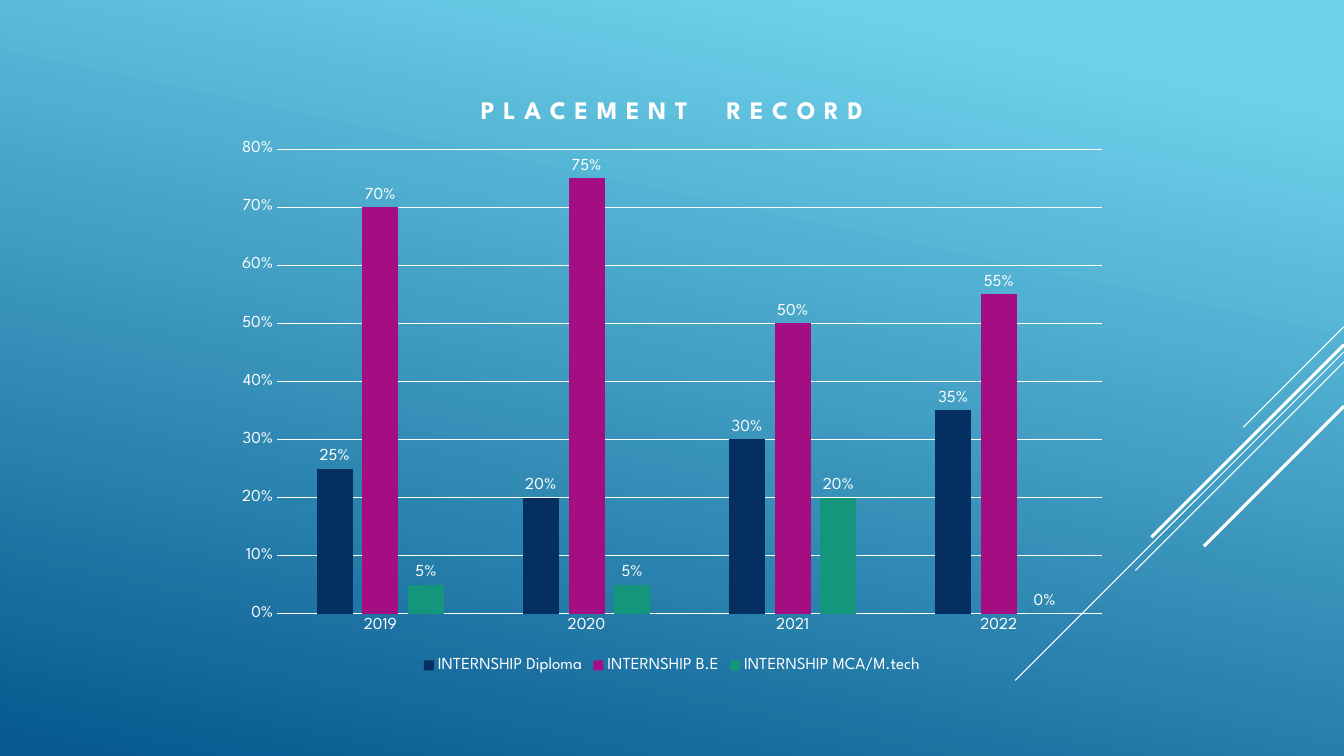
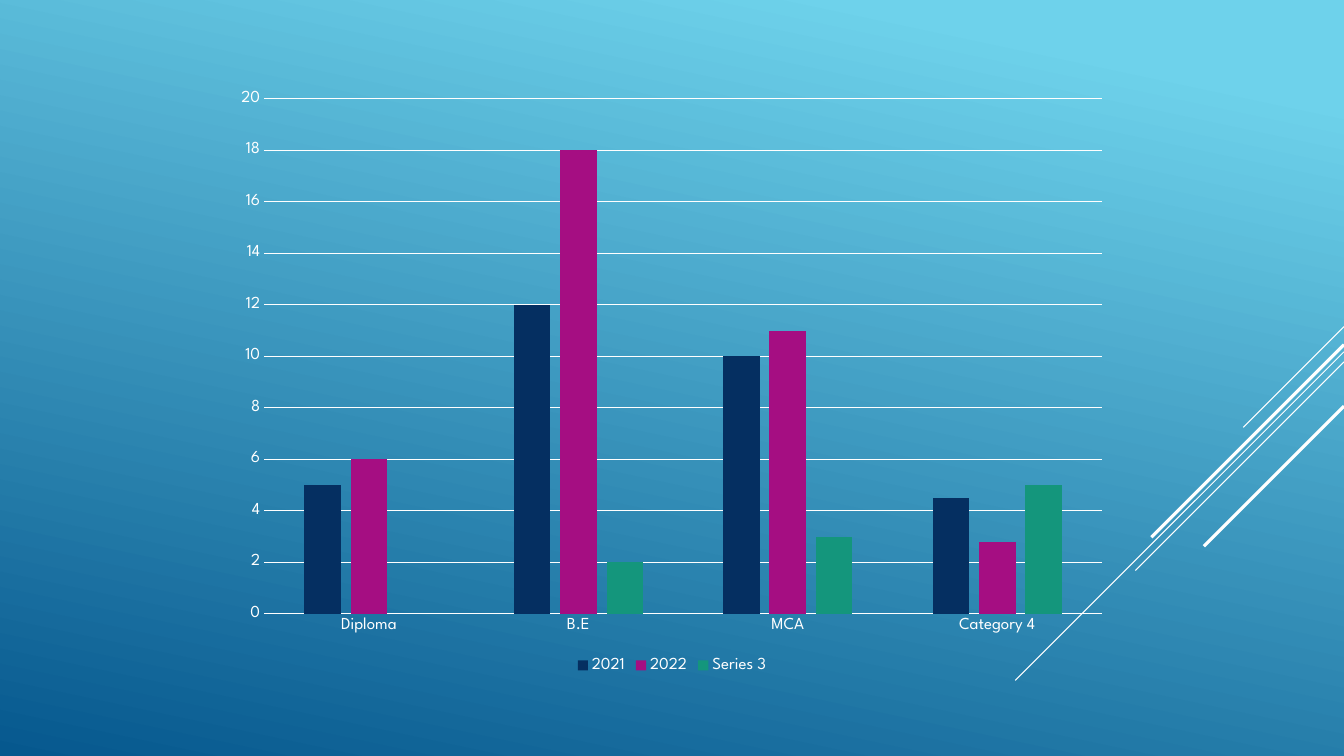
"""Build two column-chart slides on a shared blue gradient with diagonal accent lines."""
from dataclasses import dataclass

from lxml import etree
from pptx import Presentation
from pptx.chart.chart import Chart
from pptx.chart.data import CategoryChartData
from pptx.dml.color import RGBColor
from pptx.enum.chart import XL_CHART_TYPE, XL_LABEL_POSITION, XL_LEGEND_POSITION, XL_TICK_MARK
from pptx.enum.shapes import MSO_CONNECTOR
from pptx.oxml.ns import qn
from pptx.slide import Slide, SlideMaster
from pptx.util import Inches, Pt

CLUSTERED = XL_CHART_TYPE.COLUMN_CLUSTERED
OUTSIDE_END = XL_LABEL_POSITION.OUTSIDE_END
LEGEND_BOTTOM = XL_LEGEND_POSITION.BOTTOM
NO_TICKS = XL_TICK_MARK.NONE
STRAIGHT = MSO_CONNECTOR.STRAIGHT

WHITE = RGBColor(0xFF, 0xFF, 0xFF)
SKY = RGBColor(0x6E, 0xD2, 0xEB)
OCEAN = RGBColor(0x06, 0x58, 0x8E)
NAVY = RGBColor(0x05, 0x2F, 0x61)
MAGENTA = RGBColor(0xA5, 0x0E, 0x82)
GREEN = RGBColor(0x14, 0x96, 0x7C)
SERIES_COLORS = (NAVY, MAGENTA, GREEN)

FONT = "League Spartan"
SLIDE_WIDTH = 13.33
SLIDE_HEIGHT = 7.5
CHART_WIDTH = 8.89
CHART_HEIGHT = 5.93
PLOT_RIGHT = 8.71
PLOT_BOTTOM = 5.3
THIN = 0.75
THICK = 2.25
LETTER_SPACING = 0.7
WORD_SPACING = 22


@dataclass(frozen=True)
class Diagonal:
    """A 45-degree line running down and left from the right slide edge."""

    top: float
    reach: float
    weight: float


@dataclass(frozen=True)
class ColumnChart:
    """Data and layout of one clustered column chart."""

    categories: tuple[str, ...]
    series: dict[str, tuple[float | None, ...]]
    maximum: float
    step: float
    number_format: str
    plot_left: float
    plot_top: float
    title_words: tuple[str, ...] = ()
    labelled: bool = False


DIAGONALS = (
    Diagonal(3.24, 1.0, THIN),
    Diagonal(3.49, 3.26, THIN),
    Diagonal(3.59, 2.07, THIN),
    Diagonal(3.42, 1.91, THICK),
    Diagonal(4.03, 1.39, THICK),
)

CHARTS = (
    ColumnChart(
        categories=("2019", "2020", "2021", "2022"),
        series={
            "INTERNSHIP Diploma": (0.25, 0.2, 0.3, 0.35),
            "INTERNSHIP B.E": (0.7, 0.75, 0.5, 0.55),
            "INTERNSHIP MCA/M.tech": (0.05, 0.05, 0.2, 0),
        },
        maximum=0.8,
        step=0.1,
        number_format="0%",
        plot_left=0.53,
        plot_top=0.69,
        title_words=("P L A C E M E N T", "R E C O R D"),
        labelled=True,
    ),
    ColumnChart(
        categories=("Diploma", "B.E", "MCA", "Category 4"),
        series={
            "2021": (5, 12, 10, 4.5),
            "2022": (6, 18, 11, 2.8),
            "Series 3": (None, 2, 3, 5),
        },
        maximum=20,
        step=2,
        number_format="General",
        plot_left=0.4,
        plot_top=0.19,
    ),
)


def style_font(font, size: float, bold: bool = False) -> None:
    """Apply the shared white typeface."""
    font.name = FONT
    font.size = Pt(size)
    font.bold = bold
    font.color.rgb = WHITE


def style_line(line, weight: float) -> None:
    """Make a line solid white."""
    line.color.rgb = WHITE
    line.width = Pt(weight)


def paint_background(master: SlideMaster) -> None:
    """Give every slide the blue gradient."""
    fill = master.background.fill
    fill.gradient()
    fill.gradient_angle = 360 - 102
    for stop, color, position in zip(fill.gradient_stops, (SKY, OCEAN), (0.1, 1.0)):
        stop.color.rgb = color
        stop.position = position


def draw_diagonal(slide: Slide, diagonal: Diagonal) -> None:
    """Draw one accent line."""
    connector = slide.shapes.add_connector(
        STRAIGHT,
        Inches(SLIDE_WIDTH),
        Inches(diagonal.top),
        Inches(SLIDE_WIDTH - diagonal.reach),
        Inches(diagonal.top + diagonal.reach),
    )
    style_line(connector.line, diagonal.weight)
    etree.SubElement(connector._element.spPr, qn("a:effectLst"))


def place_plot(chart: Chart, left: float, top: float) -> None:
    """Fix the inner plot area, measured in inches inside the chart."""
    area = chart._chartSpace.chart.plotArea
    for old_layout in area.findall(qn("c:layout")):
        area.remove(old_layout)
    layout = etree.Element(qn("c:layout"))
    area.insert(0, layout)
    manual = etree.SubElement(layout, qn("c:manualLayout"))
    settings = {
        "layoutTarget": "inner",
        "xMode": "edge",
        "yMode": "edge",
        "x": left / CHART_WIDTH,
        "y": top / CHART_HEIGHT,
        "w": (PLOT_RIGHT - left) / CHART_WIDTH,
        "h": (PLOT_BOTTOM - top) / CHART_HEIGHT,
    }
    for name, value in settings.items():
        etree.SubElement(manual, qn(f"c:{name}")).set("val", str(value))


def write_title(chart: Chart, words: tuple[str, ...]) -> None:
    """Write the words with wide gaps between them, or switch the title off."""
    chart.has_title = bool(words)
    if not words:
        return
    chart.chart_title.include_in_layout = False
    paragraph = chart.chart_title.text_frame.paragraphs[0]
    for index, word in enumerate(words):
        pieces = [(word, LETTER_SPACING)]
        if index:
            pieces.insert(0, (" ", WORD_SPACING))
        for text, spacing in pieces:
            span = paragraph.add_run()
            span.text = text
            style_font(span.font, 18, bold=True)
            span.font._element.set("spc", str(round(spacing * 100)))


def style_axes(chart: Chart, content: ColumnChart) -> None:
    """Format both axes and the gridlines."""
    for axis in (chart.category_axis, chart.value_axis):
        axis.major_tick_mark = NO_TICKS
        axis.minor_tick_mark = NO_TICKS
        style_font(axis.tick_labels.font, 12)
    style_line(chart.category_axis.format.line, THIN)
    values = chart.value_axis
    values.minimum_scale = 0
    values.maximum_scale = content.maximum
    values.major_unit = content.step
    values.format.line.fill.background()
    values.has_major_gridlines = True
    style_line(values.major_gridlines.format.line, THIN)
    values.tick_labels.number_format = content.number_format
    values.tick_labels.number_format_is_linked = False


def style_columns(chart: Chart, content: ColumnChart) -> None:
    """Colour the columns and label them where asked."""
    plot = chart.plots[0]
    plot.vary_by_categories = False
    plot.gap_width = 219
    plot.overlap = -27
    for series, color in zip(plot.series, SERIES_COLORS):
        series.format.fill.solid()
        series.format.fill.fore_color.rgb = color
        if content.labelled:
            labels = series.data_labels
            labels.show_value = True
            labels.position = OUTSIDE_END
            labels.number_format = content.number_format
            labels.number_format_is_linked = False
            style_font(labels.font, 12)


def draw_chart(slide: Slide, content: ColumnChart) -> None:
    """Add one formatted column chart."""
    data = CategoryChartData(number_format=content.number_format)
    data.categories = content.categories
    for name, values in content.series.items():
        data.add_series(name, values)
    frame = slide.shapes.add_chart(
        CLUSTERED,
        Inches(2.22),
        Inches(0.79),
        Inches(CHART_WIDTH),
        Inches(CHART_HEIGHT),
        data,
    )
    chart = frame.chart
    style_font(chart.font, 10)
    write_title(chart, content.title_words)
    style_axes(chart, content)
    style_columns(chart, content)
    chart.has_legend = True
    chart.legend.position = LEGEND_BOTTOM
    chart.legend.include_in_layout = False
    style_font(chart.legend.font, 12)
    place_plot(chart, content.plot_left, content.plot_top)


def main() -> None:
    """Build and save the deck."""
    deck = Presentation()
    deck.slide_width = Inches(SLIDE_WIDTH)
    deck.slide_height = Inches(SLIDE_HEIGHT)
    paint_background(deck.slide_master)
    blank_layout = deck.slide_layouts.get_by_name("Blank")
    for content in CHARTS:
        slide = deck.slides.add_slide(blank_layout)
        for diagonal in DIAGONALS:
            draw_diagonal(slide, diagonal)
        draw_chart(slide, content)
    deck.save("out.pptx")


if __name__ == "__main__":
    main()
